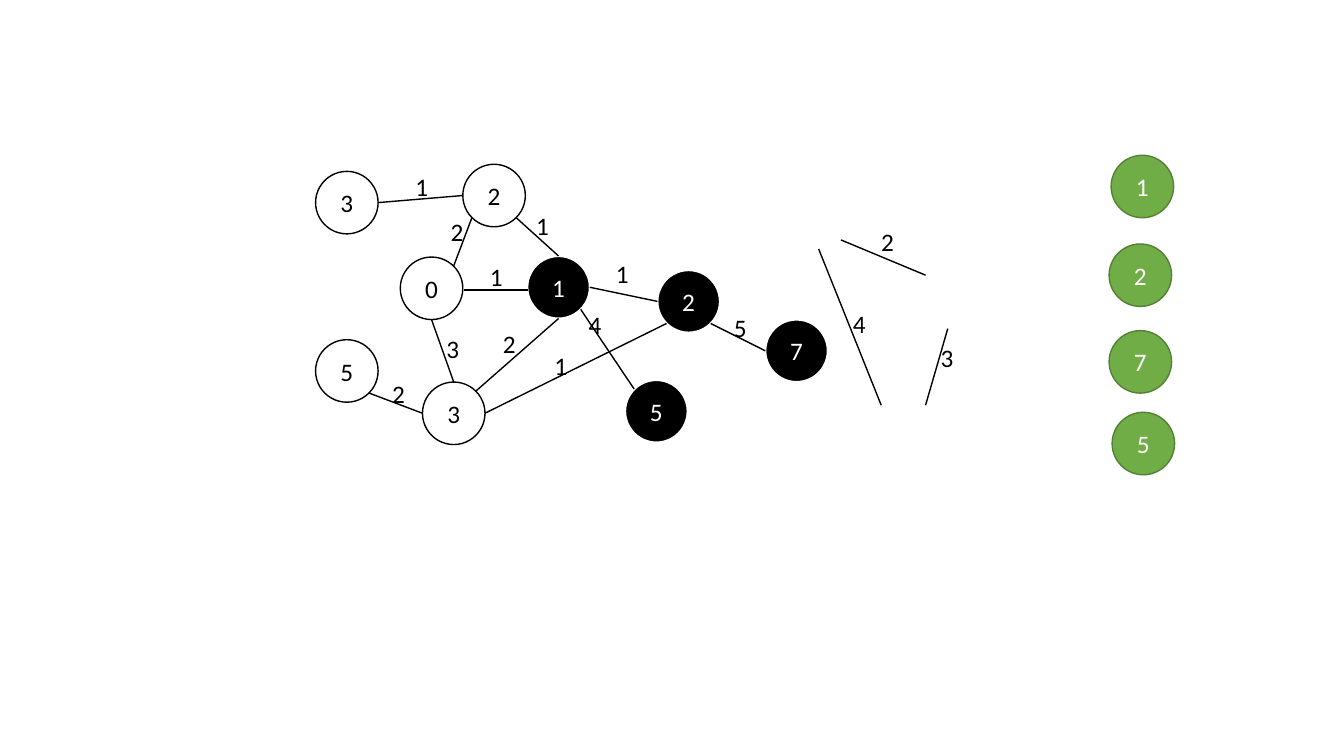
from dataclasses import dataclass
from math import sqrt

from lxml import etree
from pptx import Presentation
from pptx.dml.color import RGBColor
from pptx.enum.shapes import MSO_CONNECTOR, MSO_SHAPE
from pptx.enum.text import MSO_ANCHOR, MSO_AUTO_SIZE, PP_ALIGN
from pptx.oxml.ns import qn
from pptx.util import Inches, Pt

CIRCLE = MSO_SHAPE.FLOWCHART_CONNECTOR
STRAIGHT = MSO_CONNECTOR.STRAIGHT
MIDDLE = MSO_ANCHOR.MIDDLE
FIT_SHAPE = MSO_AUTO_SIZE.SHAPE_TO_FIT_TEXT
LEFT, CENTER = PP_ALIGN.LEFT, PP_ALIGN.CENTER

COLORS = {"black": "000000", "white": "FFFFFF", "green": "70AD47", "dark_green": "538035"}
FONT = "Calibri"
DIAMETER = 0.62
RADIUS = DIAMETER / 2
DIAGONAL = RADIUS / sqrt(2)
SITES = {
    "top": (0, -RADIUS),
    "bottom": (0, RADIUS),
    "left": (-RADIUS, 0),
    "right": (RADIUS, 0),
    "top_right": (DIAGONAL, -DIAGONAL),
    "bottom_left": (-DIAGONAL, DIAGONAL),
    "bottom_right": (DIAGONAL, DIAGONAL),
}


@dataclass(frozen=True)
class Style:
    fill: str
    line: str
    width: float
    text: str


@dataclass(frozen=True)
class Node:
    text: str
    x: float
    y: float
    style: Style

    def site(self, name: str) -> tuple[float, float]:
        dx, dy = SITES[name]
        return self.x + RADIUS + dx, self.y + RADIUS + dy


@dataclass(frozen=True)
class Edge:
    start: tuple[float, float]
    end: tuple[float, float]
    weight: str
    label_x: float
    label_y: float
    width: float = 1


OPEN = Style("white", "black", 1, "black")
SOLID = Style("black", "white", 1.5, "white")
GREEN = Style("green", "dark_green", 1, "white")

NODES = {
    "left_3": Node("3", 3.13, 1.7, OPEN),
    "left_0": Node("0", 3.97, 2.55, OPEN),
    "left_5": Node("5", 3.13, 3.37, OPEN),
    "low_3": Node("3", 4.19, 3.79, OPEN),
    "black_1": Node("1", 5.23, 2.54, SOLID),
    "left_2": Node("2", 4.59, 1.63, OPEN),
    "black_5": Node("5", 6.2, 3.77, SOLID),
    "black_2": Node("2", 6.52, 2.68, SOLID),
    "black_7": Node("7", 7.59, 3.17, SOLID),
    "green_1": Node("1", 11.02, 1.54, GREEN),
    "green_2": Node("2", 11, 2.42, GREEN),
    "green_7": Node("7", 11, 3.28, GREEN),
    "green_5": Node("5", 11.03, 4.09, GREEN),
}


def at(node: str, site: str) -> tuple[float, float]:
    return NODES[node].site(site)


EDGES = [
    Edge(at("left_2", "left"), at("left_3", "right"), "1", 4.02, 1.65),
    Edge(at("left_5", "bottom_right"), at("low_3", "left"), "2", 3.79, 3.7),
    Edge(at("left_0", "top_right"), at("left_2", "bottom_left"), "2", 4.37, 2.1),
    Edge(at("black_1", "right"), at("black_2", "left"), "1", 6.01, 2.51),
    Edge(at("black_1", "bottom_right"), (6.29, 3.86), "4", 5.74, 3.02),
    Edge(at("black_2", "bottom_left"), at("low_3", "right"), "1", 5.4, 3.43),
    Edge((4.6, 2.88), (5.24, 2.88), "1", 4.76, 2.54, 1.5),
    Edge(at("left_2", "bottom_right"), at("black_1", "top"), "1", 5.22, 2.04),
    Edge(at("left_0", "bottom"), at("low_3", "top"), "3", 4.33, 3.26),
    Edge(at("low_3", "top_right"), at("black_1", "bottom"), "2", 4.89, 3.21),
    Edge(at("black_2", "bottom_right"), at("black_7", "left"), "5", 7.18, 3.05),
    Edge((8.34, 2.38), (9.18, 2.73), "2", 8.64, 2.2),
    Edge((9.4, 3.26), (9.18, 4.02), "3", 9.23, 3.35),
    Edge((8.12, 2.47), (8.74, 4.02), "4", 8.36, 3.01),
]


def rgb(name: str) -> RGBColor:
    return RGBColor.from_string(COLORS[name])


def write(tf, text: str, *, color: str = "black", align=LEFT, size: float = 18) -> None:
    tf.word_wrap = True
    p = tf.paragraphs[0]
    p.alignment = align
    r = p.add_run()
    r.text = text
    r.font.name = FONT
    r.font.size = Pt(size)
    r.font.color.rgb = rgb(color)


def draw_node(shapes, node: Node) -> None:
    sp = shapes.add_shape(
        CIRCLE, Inches(node.x), Inches(node.y), Inches(DIAMETER), Inches(DIAMETER)
    )
    sp.shadow.inherit = False
    sp.fill.solid()
    sp.fill.fore_color.rgb = rgb(node.style.fill)
    sp.line.color.rgb = rgb(node.style.line)
    sp.line.width = Pt(node.style.width)
    sp.text_frame.vertical_anchor = MIDDLE
    write(sp.text_frame, node.text, color=node.style.text, align=CENTER)


def draw_line(shapes, edge: Edge) -> None:
    ends = [Inches(v) for v in (*edge.start, *edge.end)]
    line = shapes.add_connector(STRAIGHT, *ends)
    line.line.color.rgb = rgb("black")
    line.line.width = Pt(edge.width)
    etree.SubElement(line._element.spPr, qn("a:effectLst"))


def draw_weight(shapes, edge: Edge) -> None:
    box = shapes.add_textbox(
        Inches(edge.label_x), Inches(edge.label_y), Inches(0.31), Inches(0.4)
    )
    box.text_frame.auto_size = FIT_SHAPE
    write(box.text_frame, edge.weight)


def main() -> None:
    prs = Presentation()
    prs.slide_width, prs.slide_height = Inches(13.33), Inches(7.5)
    s = prs.slides.add_slide(prs.slide_layouts[6])
    for node in NODES.values():
        draw_node(s.shapes, node)
    for edge in EDGES:
        draw_line(s.shapes, edge)
    for edge in EDGES:
        draw_weight(s.shapes, edge)
    prs.save("out.pptx")


if __name__ == "__main__":
    main()
